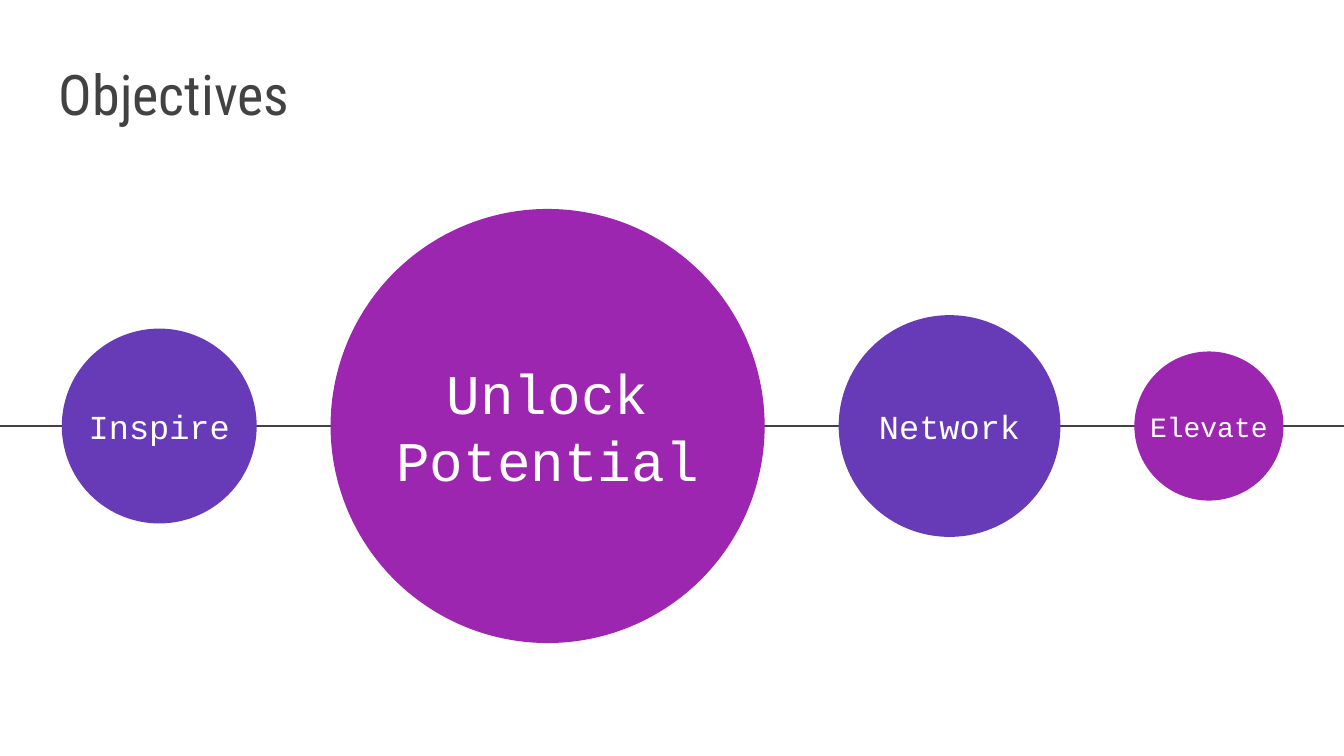
from dataclasses import dataclass

from lxml import etree
from pptx import Presentation
from pptx.dml.color import RGBColor
from pptx.enum.shapes import MSO_CONNECTOR, MSO_SHAPE
from pptx.enum.text import MSO_ANCHOR, PP_ALIGN
from pptx.oxml.ns import qn
from pptx.slide import Slide
from pptx.util import Inches, Pt

STRAIGHT = MSO_CONNECTOR.STRAIGHT
OVAL = MSO_SHAPE.OVAL
MIDDLE, BOTTOM = MSO_ANCHOR.MIDDLE, MSO_ANCHOR.BOTTOM
LEFT, CENTER = PP_ALIGN.LEFT, PP_ALIGN.CENTER

CHARCOAL = RGBColor(0x42, 0x42, 0x42)
INDIGO = RGBColor(0x67, 0x3A, 0xB7)
PURPLE = RGBColor(0x9C, 0x26, 0xB0)
WHITE = RGBColor(0xFF, 0xFF, 0xFF)

SLIDE_WIDTH = 10
SLIDE_HEIGHT = SLIDE_WIDTH * 9 / 16
AXIS_START = -0.01
AXIS_Y = 3.17
FIRST_LEFT = 0.46
GAP = 0.55
LABEL_HEIGHT = 0.66


@dataclass(frozen=True)
class Objective:
    label: str
    diameter: float
    color: RGBColor
    label_size: int


OBJECTIVES = (
    Objective("Inspire", 1.45, INDIGO, 18),
    Objective("Unlock Potential", 3.23, PURPLE, 30),
    Objective("Network", 1.65, INDIGO, 18),
    Objective("Elevate", 1.11, PURPLE, 15),
)


def add_text(slide: Slide, text: str, *, left: float, top: float, width: float,
             height: float, size: int, font: str, color: RGBColor,
             align: PP_ALIGN = CENTER, anchor: MSO_ANCHOR = MIDDLE) -> None:
    frame = slide.shapes.add_textbox(
        Inches(left), Inches(top), Inches(width), Inches(height)).text_frame
    frame.word_wrap = True
    frame.vertical_anchor = anchor
    frame.margin_left = frame.margin_right = Inches(0.1)
    frame.margin_top = frame.margin_bottom = Inches(0.1)
    paragraph = frame.paragraphs[0]
    paragraph.alignment = align
    run = paragraph.add_run()
    run.text = text
    run.font.size = Pt(size)
    run.font.name = font
    run.font.color.rgb = color


def add_axis(slide: Slide) -> None:
    axis = slide.shapes.add_connector(
        STRAIGHT, Inches(AXIS_START), Inches(AXIS_Y),
        Inches(SLIDE_WIDTH), Inches(AXIS_Y))
    axis.line.color.rgb = CHARCOAL
    axis.line.width = Pt(1.5)
    etree.SubElement(axis._element.spPr, qn("a:effectLst"))


def add_objective(slide: Slide, objective: Objective, left: float) -> None:
    diameter = objective.diameter
    circle = slide.shapes.add_shape(
        OVAL, Inches(left), Inches(AXIS_Y - diameter / 2),
        Inches(diameter), Inches(diameter))
    circle.shadow.inherit = False
    circle.fill.solid()
    circle.fill.fore_color.rgb = objective.color
    circle.line.fill.background()
    add_text(slide, objective.label, left=left, top=AXIS_Y - LABEL_HEIGHT / 2,
             width=diameter, height=LABEL_HEIGHT, size=objective.label_size,
             font="Courier New", color=WHITE)


def main() -> None:
    presentation = Presentation()
    presentation.slide_width = Inches(SLIDE_WIDTH)
    presentation.slide_height = Inches(SLIDE_HEIGHT)
    slide = presentation.slides.add_slide(presentation.slide_layouts[6])

    add_axis(slide)
    add_text(slide, "Objectives", left=0.34, top=0.24, width=9.32, height=0.8,
             size=30, font="Roboto Condensed", color=CHARCOAL,
             align=LEFT, anchor=BOTTOM)
    left = FIRST_LEFT
    for objective in OBJECTIVES:
        add_objective(slide, objective, left)
        left += objective.diameter + GAP

    presentation.save("out.pptx")


if __name__ == "__main__":
    main()
